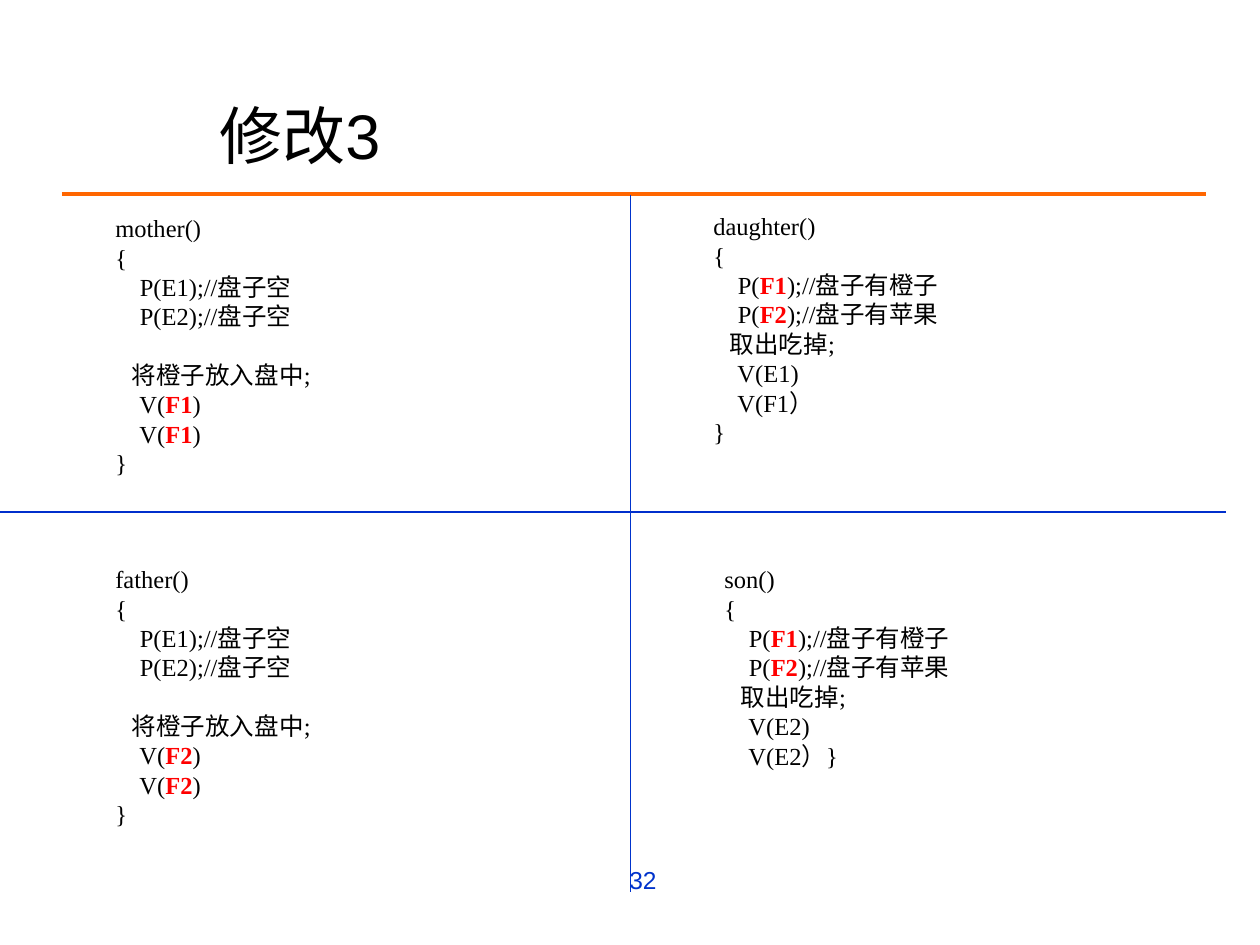
from lxml.etree import SubElement
from pptx import Presentation
from pptx.dml.color import RGBColor
from pptx.enum.shapes import MSO_CONNECTOR
from pptx.enum.text import MSO_ANCHOR, PP_ALIGN
from pptx.oxml.ns import qn
from pptx.util import Pt

PX = 914400 / 126
BLACK, RED, BLUE, ORANGE = "000000", "FF0000", "0033CC", "FF6600"
MARK = "*"
CODE_SIZE = 14
GAP = 16.5


def parent_code(name, signal):
    return [
        f"{name}()",
        "{",
        "    P(E1);//盘子空",
        "    P(E2);//盘子空",
        "   将橙子放入盘中;",
        f"    V(*{signal}*)",
        f"    V(*{signal}*)",
        "}",
    ]


def child_code(name, ending):
    return [
        f"{name}()",
        "{",
        "    P(*F1*);//盘子有橙子",
        "    P(*F2*);//盘子有苹果",
        "   取出吃掉;",
        *ending,
    ]


TITLE = ("修改3", (207, 94, 915, 81), 36, PP_ALIGN.LEFT, MSO_ANCHOR.MIDDLE, BLACK)
NUMBER = ("32", (353, 859, 316, 66), 14, PP_ALIGN.RIGHT, MSO_ANCHOR.TOP, BLUE)
BLOCKS = [
    (parent_code("father", "F2"), (103, 558, 304, 277)),
    (child_code("daughter", ["    V(E1)", "    V(F1）", "}"]), (701, 205, 304, 248)),
    (parent_code("mother", "F1"), (103, 207, 304, 277)),
    (child_code("son", ["    V(E2)", "    V(E2）}"]), (712, 558, 304, 219)),
]
TITLE_RULE = ((62, 194), (1206, 194), ORANGE, 2.25)
DIVIDERS = [
    ((0, 512), (1226, 512), "002FCC", 0.75),
    ((630, 195), (630, 892), BLUE, 0.5),
]


def px(value):
    return round(value * PX)


def color(value):
    return RGBColor.from_string(value)


def style(span, font, size, ink, bold=False):
    span.font.name = font
    span.font.size = Pt(size)
    span.font.color.rgb = color(ink)
    span.font.bold = bold


def add_box(page, place):
    box = page.shapes.add_textbox(*map(px, place))
    box.text_frame.word_wrap = True
    return box


def add_label(page, text, place, size, align, anchor, ink):
    frame = add_box(page, place).text_frame
    frame.vertical_anchor = anchor
    frame.text = text
    para = frame.paragraphs[0]
    para.alignment = align
    style(para.runs[0], "Arial", size, ink)


def add_code(page, lines, place):
    frame = add_box(page, place).text_frame
    frame.text = "\n".join(line.split(MARK)[0] for line in lines)
    for para, line in zip(frame.paragraphs, lines):
        for part in line.split(MARK)[1:]:
            para.add_run().text = part
        for index, span in enumerate(para.runs):
            marked = index % 2 == 1
            style(span, "Times New Roman", CODE_SIZE, RED if marked else BLACK, marked)
        if "放入" in line:
            para.space_before = Pt(GAP)


def add_line(page, start, end, ink, width):
    line = page.shapes.add_connector(MSO_CONNECTOR.STRAIGHT, *map(px, start + end))
    line.line.color.rgb = color(ink)
    line.line.width = Pt(width)
    SubElement(line._element.spPr, qn("a:effectLst"))


def main():
    deck = Presentation()
    deck.slide_width, deck.slide_height = px(1260), px(945)
    page = deck.slides.add_slide(deck.slide_layouts[6])
    add_line(page, *TITLE_RULE)
    for label in (TITLE, NUMBER):
        add_label(page, *label)
    for lines, place in BLOCKS:
        add_code(page, lines, place)
    for divider in DIVIDERS:
        add_line(page, *divider)
    deck.save("out.pptx")


if __name__ == "__main__":
    main()
